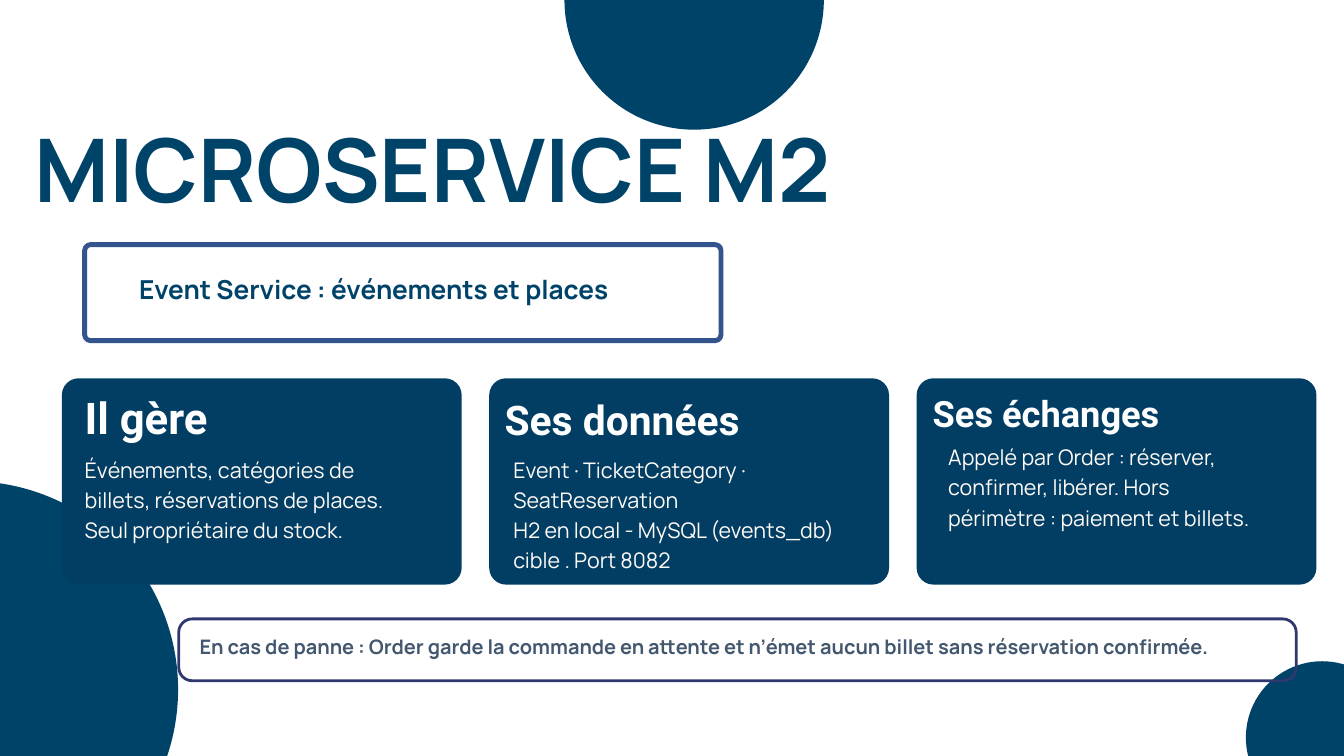
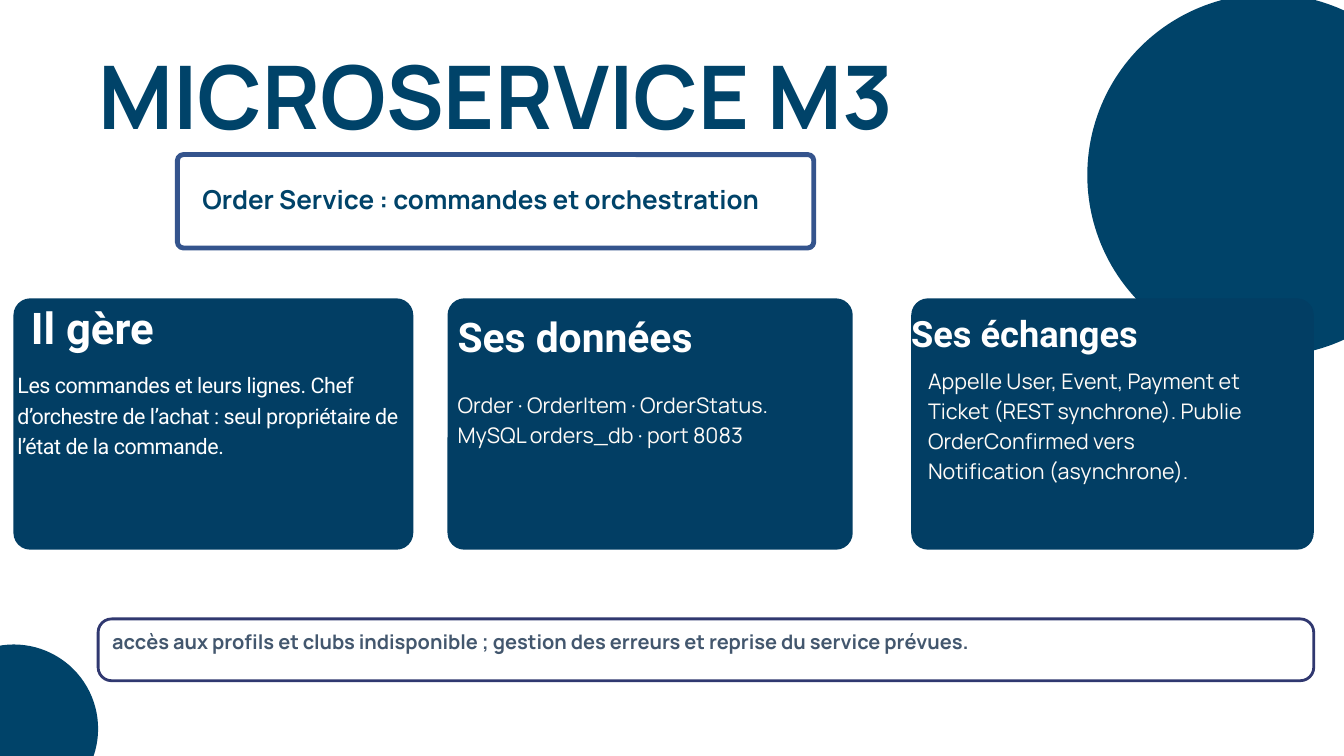
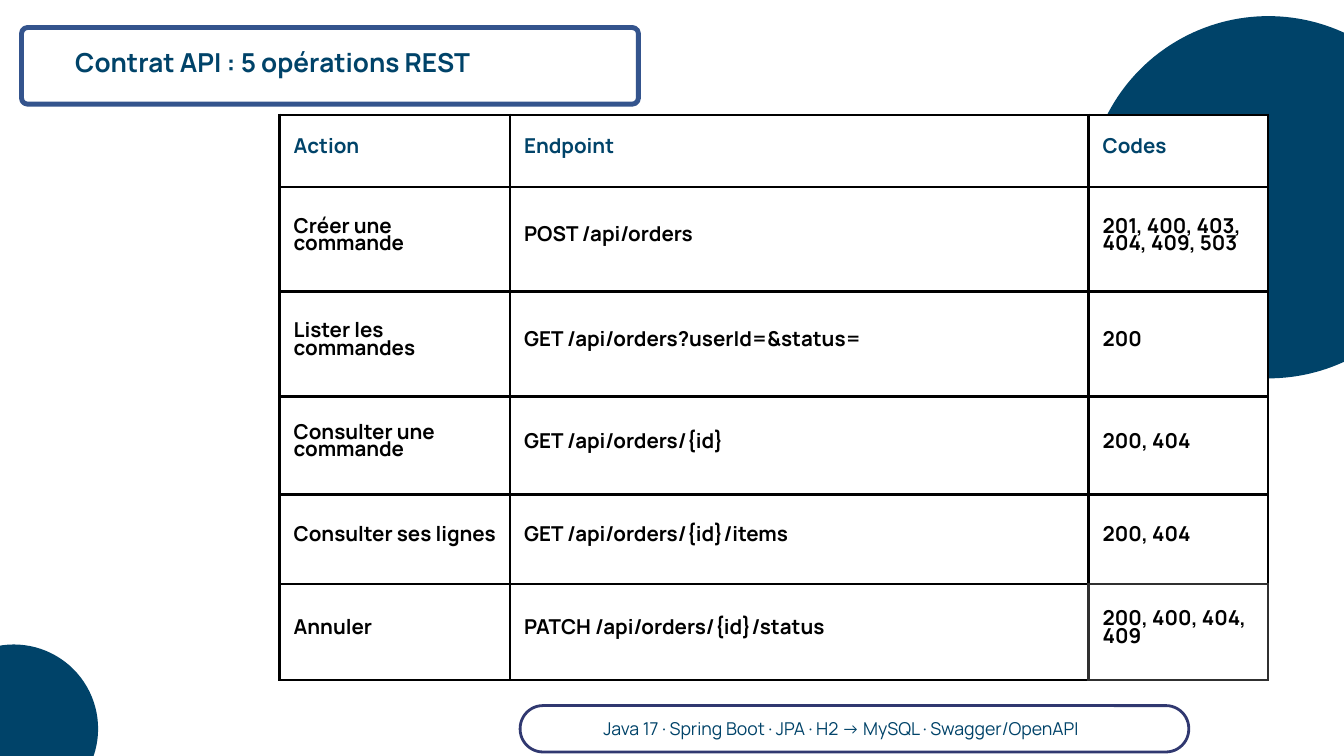
from lxml import etree
from pptx import Presentation
from pptx.dml.color import RGBColor
from pptx.enum.shapes import MSO_SHAPE
from pptx.enum.text import MSO_ANCHOR, MSO_AUTO_SIZE, PP_ALIGN
from pptx.oxml.ns import qn
from pptx.util import Inches, Pt

OVAL, ROUNDED = MSO_SHAPE.OVAL, MSO_SHAPE.ROUNDED_RECTANGLE
LEFT, CENTER, JUSTIFY = PP_ALIGN.LEFT, PP_ALIGN.CENTER, PP_ALIGN.JUSTIFY
MIDDLE, GROW = MSO_ANCHOR.MIDDLE, MSO_AUTO_SIZE.SHAPE_TO_FIT_TEXT

COLUMNS, ROWS = 20, 11.25
TIGHT, AIRY = 0.86, 1.4  # line spacing as a share of the text size

COLORS = {
    "blue": "004369",
    "card": "023E64",
    "frame": "34548D",
    "outline": "303870",
    "note": "43576E",
    "cream": "FFFBF7",
    "white": "FFFFFF",
    "black": "000000",
    "soft_black": "303030",
}

# Text styles: font values, colour, line spacing and alignment
TITLE_FONT = {"name": "Manrope", "size": 94, "bold": True}
STYLES = {
    "title": (TITLE_FONT, "blue", TIGHT, LEFT),
    "centered_title": (TITLE_FONT, "blue", TIGHT, CENTER),
    "subtitle": ({"name": "Manrope", "size": 28, "bold": True}, "blue", TIGHT, LEFT),
    "centered_subtitle": ({"name": "Manrope", "size": 27.9, "bold": True}, "blue", AIRY, CENTER),
    "heading": ({"name": "Roboto", "size": 46.8, "bold": True}, "white", AIRY, JUSTIFY),
    "body": ({"name": "Manrope", "size": 23, "bold": False}, "cream", AIRY, LEFT),
    "condensed_body": ({"name": "Roboto", "size": 23, "bold": False}, "white", AIRY, LEFT),
    "note": ({"name": "Manrope", "size": 21.4, "bold": True}, "note", TIGHT, LEFT),
    "stack": ({"name": "Manrope", "size": 19, "bold": False}, "blue", AIRY, CENTER),
    "table_header": ({"name": "Manrope", "size": 22, "bold": True}, "blue", TIGHT, LEFT),
    "table_cell": ({"name": "Manrope", "size": 22, "bold": True}, "black", TIGHT, LEFT),
}

# Card headings: text, size, width and height of the box
HEADINGS = [
    ("Il gère", 46.8, 3.43, 1.49),
    ("Ses données", 43.7, 4.47, 1.65),
    ("Ses échanges", 38.8, 4.67, 1.45),
]

API_ROWS = [
    ("Action", "Endpoint", "Codes"),
    ("Créer une commande", "POST /api/orders", "201, 400, 403, 404, 409, 503"),
    ("Lister les commandes", "GET /api/orders?userId=&status=", "200"),
    ("Consulter une commande", "GET /api/orders/{id}", "200, 404"),
    ("Consulter ses lignes", "GET /api/orders/{id}/items", "200, 404"),
    ("Annuler", "PATCH /api/orders/{id}/status", "200, 400, 404, 409"),
]


def color(name):
    return RGBColor.from_string(COLORS[name])


class Deck:
    """Holds the presentation, its grid and the current slide."""

    def __init__(self):
        self.presentation = Presentation()
        self.presentation.slide_width = Inches(20)
        self.presentation.slide_height = Inches(11.25)
        self.column = self.presentation.slide_width / COLUMNS
        self.row = self.presentation.slide_height / ROWS
        self.slide = None

    def new_slide(self):
        layout = self.presentation.slide_layouts[6]
        self.slide = self.presentation.slides.add_slide(layout)

    def place(self, left, top, width, height):
        return (round(left * self.column), round(top * self.row),
                round(width * self.column), round(height * self.row))

    def shape(self, kind, box, fill=None, line=None, line_width=0):
        shape = self.slide.shapes.add_shape(kind, *self.place(*box))
        shape.shadow.inherit = False
        if fill:
            shape.fill.solid()
            shape.fill.fore_color.rgb = color(fill)
        else:
            shape.fill.background()
        if line:
            shape.line.color.rgb = color(line)
            shape.line.width = Pt(line_width)
        else:
            shape.line.fill.background()
        return shape

    def circle(self, left, top, diameter):
        self.shape(OVAL, (left, top, diameter, diameter), "blue")

    def panel(self, box, radius, **look):
        shape = self.shape(ROUNDED, box, **look)
        shape.adjustments[0] = radius / min(box[2:])

    def fill_text(self, frame, text, style, size=None, tracking=None):
        values, text_color, spacing, alignment = STYLES[style]
        values = {**values, "size": Pt(size or values["size"])}
        frame.word_wrap = True
        frame.text = text
        for paragraph in frame.paragraphs:
            paragraph.alignment = alignment
            paragraph.line_spacing = Pt(round(values["size"].pt * spacing, 1))
            for run in paragraph.runs:
                for name, value in values.items():
                    setattr(run.font, name, value)
                run.font.color.rgb = color(text_color)
                if tracking:
                    run._r.get_or_add_rPr().set("spc", str(tracking))

    def text(self, box, text, style, **options):
        frame = self.slide.shapes.add_textbox(*self.place(*box)).text_frame
        for side in ("left", "top", "right", "bottom"):
            setattr(frame, f"margin_{side}", 0)
        self.fill_text(frame, text, style, **options)
        frame.auto_size = GROW

    def subtitle(self, box, text_box, text, style="subtitle"):
        self.panel(box, 0.09, fill="white", line="frame", line_width=5.25)
        self.text(text_box, text, style)

    def note(self, box, text_box, text, radius=0.2, style="note"):
        self.panel(box, radius, line="outline", line_width=3)
        self.text(text_box, text, style)

    def card(self, box, heading, heading_at, body_box, body, style="body", **options):
        title, size, width, height = heading
        self.panel(box, 0.25, fill="card")
        self.text((*heading_at, width, height), title, "heading", size=size)
        self.text(body_box, body, style, **options)

    def border(self, cell, side, name):
        line = etree.SubElement(cell._tc.get_or_add_tcPr(), qn(f"a:ln{side}"), w=str(Pt(3)))
        fill = etree.SubElement(line, qn("a:solidFill"))
        etree.SubElement(fill, qn("a:srgbClr"), val=COLORS[name])

    def table(self, box, widths, heights, rows):
        frame = self.slide.shapes.add_table(len(rows), len(widths), *self.place(*box))
        table = frame.table
        table.first_row = table.horz_banding = False
        for column, width in zip(table.columns, widths):
            column.width = round(width * self.column)
        for row, height in zip(table.rows, heights):
            row.height = round(height * self.row)
        corner = (len(rows) - 1, len(widths) - 1)
        neighbours = {"L": (0, -1), "R": (0, 1), "T": (-1, 0), "B": (1, 0)}
        for r, texts in enumerate(rows):
            for c, text in enumerate(texts):
                cell = table.cell(r, c)
                # The last cell has softer borders, shared with its neighbours
                for side, (down, right) in neighbours.items():
                    soft = corner in ((r, c), (r + down, c + right))
                    self.border(cell, side, "soft_black" if soft else "black")
                cell.fill.solid()
                cell.fill.fore_color.rgb = color("white")
                cell.vertical_anchor = MIDDLE
                for side in ("left", "top", "right", "bottom"):
                    setattr(cell, f"margin_{side}", round(0.21 * self.column))
                self.fill_text(cell.text_frame, text, "table_cell" if r else "table_header")


def event_service(deck):
    deck.new_slide()
    deck.circle(-3.55, 7.16, 6.2)
    deck.circle(8.4, -1.93, 3.86)
    deck.circle(18.54, 9.84, 2.27)
    deck.text((0.51, 2.16, 14.72, 2.44), "MICROSERVICE M2", "title")
    deck.subtitle((1.26, 3.64, 9.47, 1.43), (2.07, 4.2, 9.2, 0.4),
                  "Event Service : événements et places")

    # Three equal cards
    cards = [
        ((1.26, 5.68), (1.26, 6.74, 4.95, 1.31),
         "Événements, catégories de billets, réservations de places. "
         "Seul propriétaire du stock."),
        ((7.51, 5.75), (7.64, 6.74, 4.79, 1.75),
         "Event · TicketCategory · SeatReservation\n"
         "H2 en local - MySQL (events_db) cible . Port 8082"),
        ((13.88, 5.72), (14.11, 6.55, 4.75, 1.75),
         "Appelé par Order : réserver, confirmer, libérer. "
         "Hors périmètre : paiement et billets."),
    ]
    for index, (heading, card) in enumerate(zip(HEADINGS, cards)):
        deck.card((0.92 + index * 6.36, 5.63, 5.95, 3.07), heading, *card)

    deck.note((2.66, 9.21, 16.63, 0.92), (2.97, 9.54, 17.63, 0.3),
              "En cas de panne : Order garde la commande en attente et "
              "n’émet aucun billet sans réservation confirmée.")


def order_service(deck):
    deck.new_slide()
    deck.circle(16.18, -0.09, 5.39)
    deck.circle(-1.05, 9.59, 2.51)
    deck.text((1.2, 1.07, 12.36, 2.44), "MICROSERVICE M3", "centered_title")
    deck.subtitle((2.64, 2.3, 9.47, 1.39), (2.42, 2.66, 9.47, 0.56),
                  "Order Service : commandes et orchestration", "centered_subtitle")

    # Three cards on one row
    top, height = 4.44, 3.74
    deck.card((0.2, top, 5.95, height), HEADINGS[0], (0.46, 4.35), (0.26, 5.48, 5.83, 1.34),
              "Les commandes et leurs lignes. Chef d’orchestre de l’achat : "
              "seul propriétaire de l’état de la commande.",
              "condensed_body", tracking=-50)
    deck.card((6.66, top, 6.03, height), HEADINGS[1], (6.81, 4.51), (6.81, 5.77, 4.79, 1.31),
              "Order · OrderItem · OrderStatus. MySQL orders_db · port 8083")
    deck.card((13.56, top, 5.99, height), HEADINGS[2], (13.56, 4.53), (13.81, 5.41, 4.75, 1.75),
              "Appelle User, Event, Payment et Ticket (REST synchrone). "
              "Publie OrderConfirmed vers Notification (asynchrone).")

    deck.note((1.46, 9.21, 18.09, 0.92), (1.67, 9.47, 17.63, 0.3),
              "accès aux profils et clubs indisponible ; gestion des erreurs "
              "et reprise du service prévues.")


def api_contract(deck):
    deck.new_slide()
    deck.circle(16.18, 0.24, 5.39)
    deck.circle(-1.05, 9.59, 2.51)
    deck.subtitle((0.32, 0.41, 9.18, 1.14), (1.12, 0.83, 7.53, 0.4),
                  "Contrat API : 5 opérations REST")
    deck.table((4.16, 1.71, 14.71, 8.42), (3.43, 8.61, 2.67),
               (1.07, 1.56, 1.56, 1.46, 1.33, 1.43), API_ROWS)
    deck.note((7.74, 10.5, 9.95, 0.69), (8.66, 10.63, 7.71, 0.37),
              "Java 17 · Spring Boot · JPA · H2 → MySQL · Swagger/OpenAPI",
              radius=0.34, style="stack")


def main():
    deck = Deck()
    event_service(deck)
    order_service(deck)
    api_contract(deck)
    deck.presentation.save("out.pptx")


if __name__ == "__main__":
    main()
